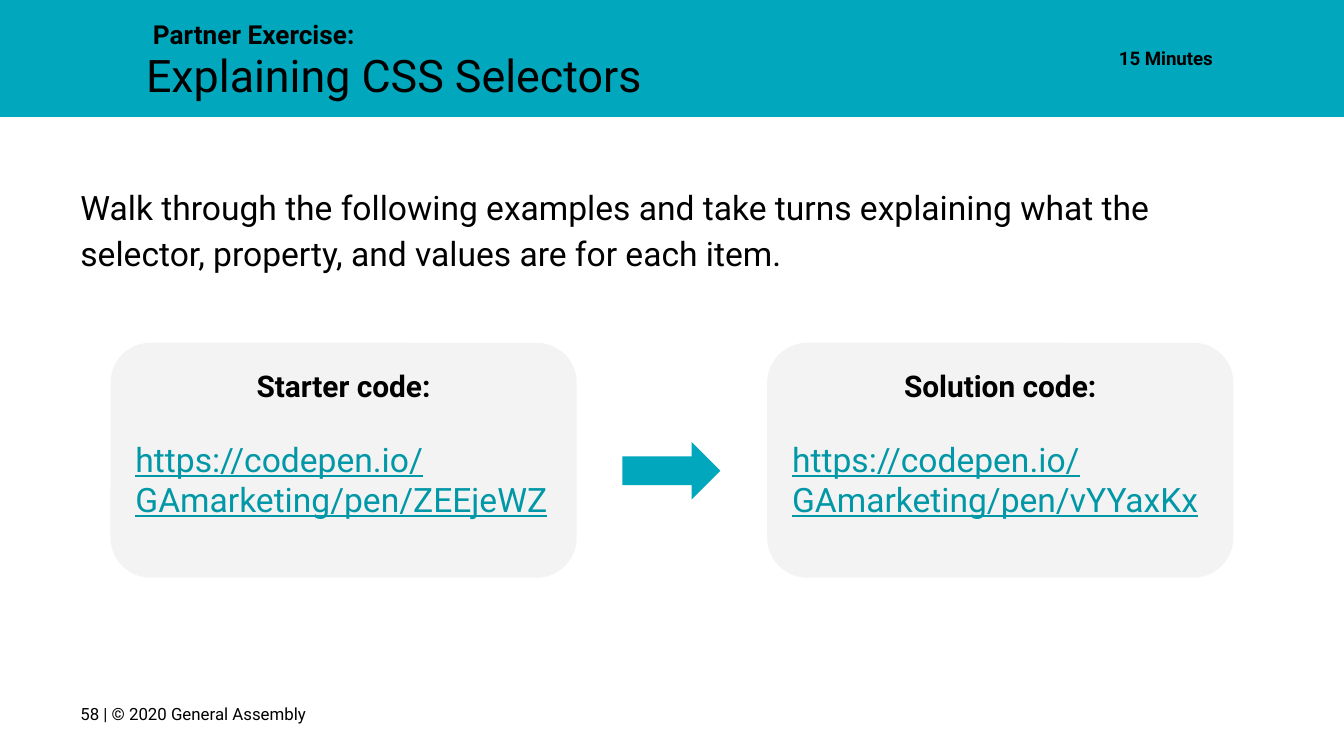
from lxml.etree import SubElement
from pptx import Presentation
from pptx.dml.color import RGBColor
from pptx.enum.shapes import MSO_SHAPE
from pptx.enum.text import MSO_ANCHOR, MSO_AUTO_SIZE, PP_ALIGN
from pptx.oxml.ns import qn
from pptx.util import Cm, Pt

COLORS = {"teal": "00A7BD", "link": "0097A7", "card": "F3F3F3", "ink": "000000"}
FONT = "Roboto"
PAD = 0.25


def color(name):
    return RGBColor.from_string(COLORS[name])


def place(shape, box):
    shape.left, shape.top, shape.width, shape.height = (Cm(n) for n in box)


def draw(slide, kind, box, fill):
    shape = slide.shapes.add_shape(kind, *(Cm(n) for n in box))
    shape.shadow.inherit = False
    shape.fill.solid()
    shape.fill.fore_color.rgb = color(fill)
    shape.line.fill.background()
    return shape


def frame(shape, anchor=MSO_ANCHOR.TOP):
    text = shape.text_frame
    text.word_wrap = True
    text.auto_size = MSO_AUTO_SIZE.NONE
    text.vertical_anchor = anchor
    text.margin_left = text.margin_right = Cm(PAD)
    text.margin_top = text.margin_bottom = Cm(PAD)
    return text


def write(para, words, size, bold=False, ink="ink", align=PP_ALIGN.LEFT,
          space=1, after=0):
    para.text = words
    para.alignment = align
    para.line_spacing = space
    para.space_before = Pt(0)
    para.space_after = Pt(after)
    font = para.runs[0].font
    font.name, font.size, font.bold = FONT, Pt(size), bold
    font.color.rgb = color(ink)
    return font


def label(slide, box, words, size, anchor=MSO_ANCHOR.TOP, bold=False):
    shape = slide.shapes.add_textbox(*(Cm(n) for n in box))
    write(frame(shape, anchor).paragraphs[0], words, size, bold)


def body(holder, box, words, size, **style):
    """Fill a body placeholder with one plain paragraph without a bullet."""
    place(holder, box)
    para = frame(holder).paragraphs[0]
    props = para._p.get_or_add_pPr()
    props.set("marL", "0")
    props.set("indent", "0")
    SubElement(props, qn("a:buNone"))
    write(para, words, size, space=1.15, **style)


def header(slide, box, title, kicker, time):
    left, top, width, height = box
    band = draw(slide, MSO_SHAPE.RECTANGLE, box, "teal")
    slide.shapes._spTree.insert(2, band._element)  # behind the placeholders
    label(slide, (left + 2.64, top + 0.1, 6.17, 1.27), kicker, 14, bold=True)
    name = slide.shapes.title
    place(name, (left + 2.51, top + 0.66, 13.92, 1.27))
    write(frame(name).paragraphs[0], title, 24)
    body(slide.placeholders[2], (left + width - 5.94, top + 0.58, 3.71, 0.91),
         time, 10, bold=True, align=PP_ALIGN.RIGHT)


def card(slide, box, head, link):
    shape = draw(slide, MSO_SHAPE.ROUNDED_RECTANGLE, box, "card")
    shape.adjustments[0] = 0.17
    text = frame(shape)
    write(text.paragraphs[0], head, 16, bold=True, align=PP_ALIGN.CENTER, after=19)
    write(text.add_paragraph(), link, 18, ink="link").underline = True


def flow(slide, box, cards):
    """Two cards at the ends of the box, with an arrow between them."""
    left, top, width, height = box
    wide = 8.81
    for x, (head, link) in zip((left, left + width - wide), cards):
        card(slide, (x, top, wide, height), head, link)
    long, tall = 1.85, 1.09
    draw(slide, MSO_SHAPE.RIGHT_ARROW,
         (left + (width - long) / 2 - 0.01, top + (height - tall) / 2 + 0.2,
          long, tall), "teal")


def main():
    deck = Presentation()
    deck.slide_width, deck.slide_height = Cm(25.4), Cm(14.29)
    slide = deck.slides.add_slide(deck.slide_layouts[3])

    # Title band
    header(slide, (0, 0, 25.4, 2.21), "Explaining CSS Selectors",
           "Partner Exercise:", "15 Minutes")

    # Task
    body(slide.placeholders[1], (1.27, 3.17, 22.86, 2.29),
         "Walk through the following examples and take turns explaining what "
         "the selector, property, and values are for each item.", 18)

    # Code links
    site = "https://codepen.io/GAmarketing/pen/"
    flow(slide, (2.09, 6.48, 21.22, 4.44),
         [("Starter code:", site + "ZEEjeWZ"), ("Solution code:", site + "vYYaxKx")])

    # Footer
    label(slide, (1.27, 12.95, 6.58, 1.09), "58 | © 2020 General Assembly", 9,
          MSO_ANCHOR.MIDDLE)

    deck.save("out.pptx")


if __name__ == "__main__":
    main()
